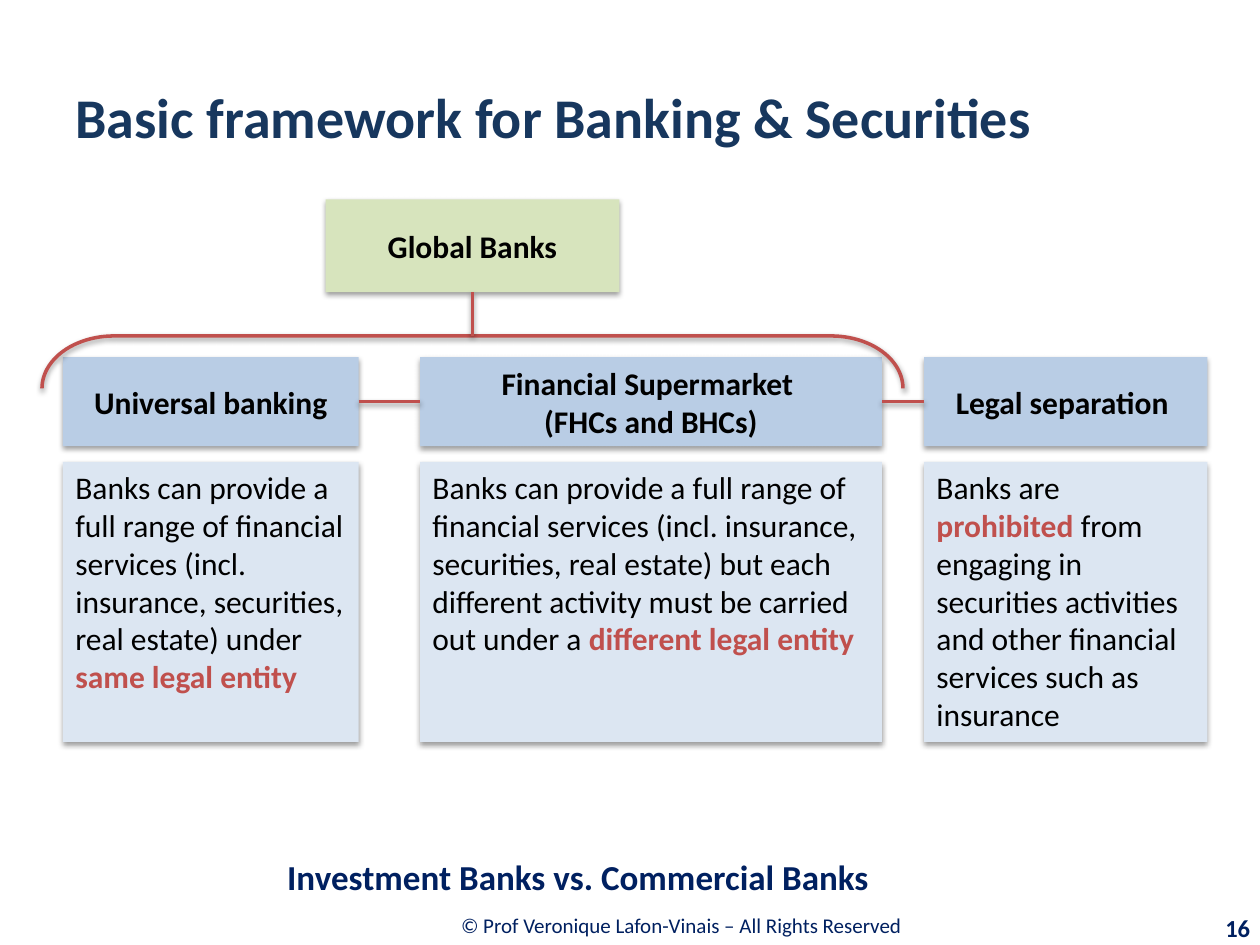
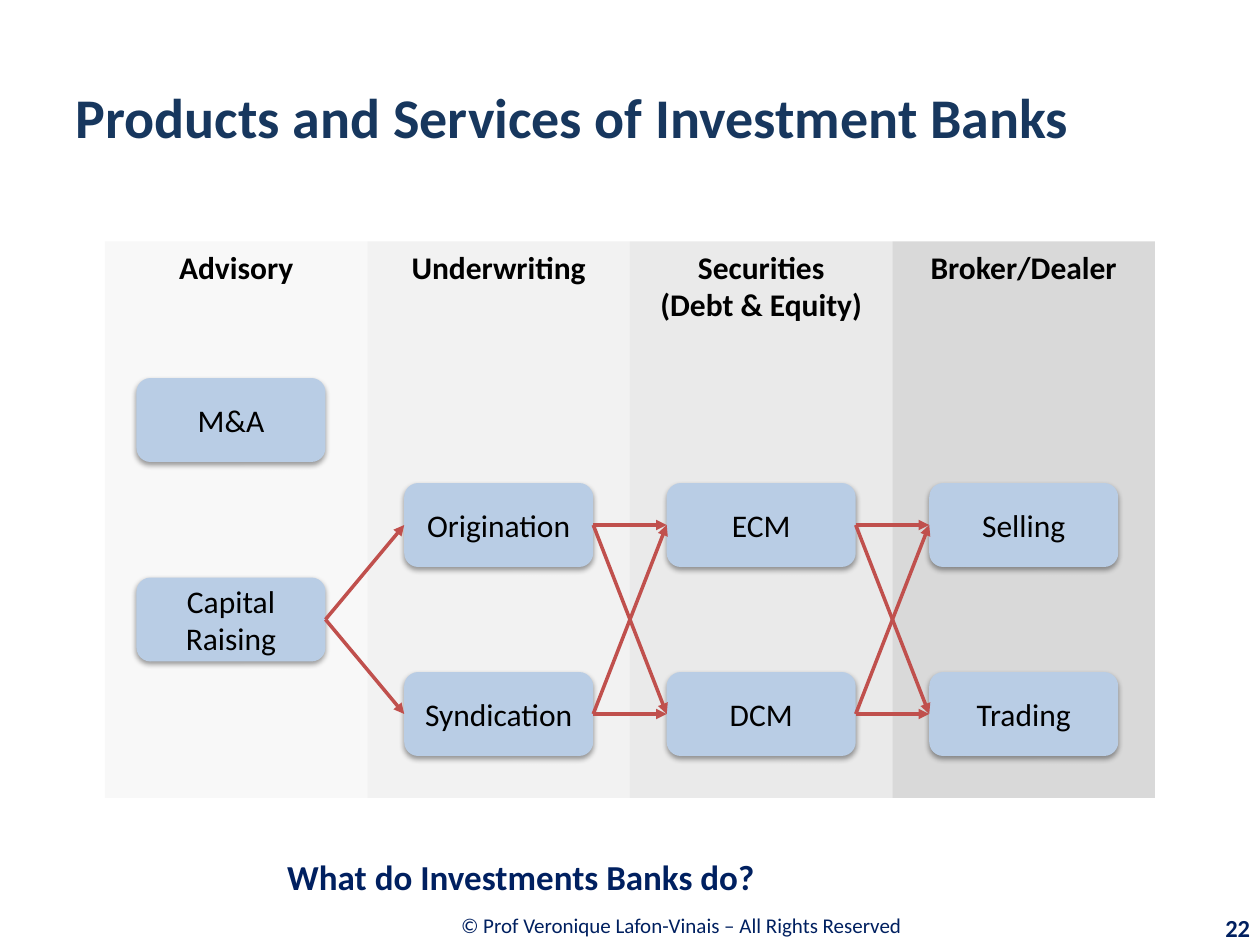
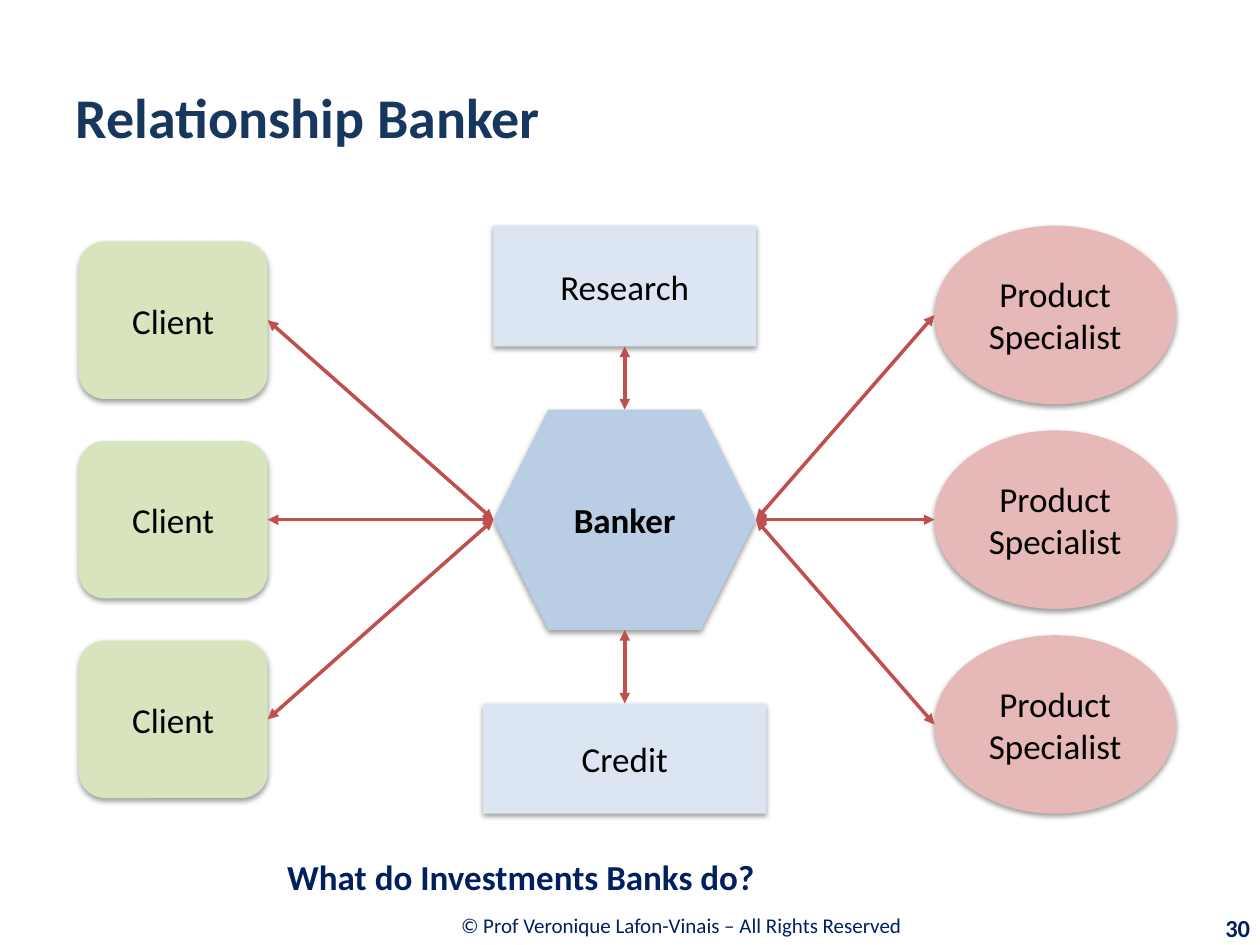
from dataclasses import dataclass
from itertools import product

from lxml import etree
from pptx import Presentation
from pptx.dml.color import RGBColor
from pptx.enum import shapes, text
from pptx.oxml.ns import qn
from pptx.util import Pt

SHAPE = shapes.MSO_SHAPE
ALIGN = text.PP_ALIGN
ANCHOR = text.MSO_ANCHOR
TOP, LEFT, BOTTOM, RIGHT = range(4)
SIDE_POS = {TOP: (0.5, 0), LEFT: (0, 0.5), BOTTOM: (0.5, 1), RIGHT: (1, 0.5)}
RECTANGLES = (SHAPE.RECTANGLE, SHAPE.ROUNDED_RECTANGLE)


@dataclass(frozen=True)
class Theme:
    font: str = "Calibri"
    title: str = "17375E"
    navy: str = "002060"
    ink: str = "000000"
    accent: str = "C0504D"
    blue: str = "B9CDE5"
    pale_blue: str = "DCE6F2"
    green: str = "D7E4BD"
    pink: str = "E6B9B8"
    lanes: tuple = ("F8F8F8", "F2F2F2", "EAEAEA", "D9D9D9")
    title_size: int = 32
    large: int = 20
    body: int = 18
    number: int = 14
    footer: int = 12
    line: int = 2


def set_all(obj, values):
    for name, value in values.items():
        setattr(obj, name, value)


class Deck:
    def __init__(self, theme):
        self.t = theme
        self.prs = Presentation()
        set_all(self.prs, {"slide_width": Pt(720), "slide_height": Pt(540)})
        self.s = None

    def slide(self, title, section, number):
        """Start a slide with its title, section line, footer and number."""
        t = self.t
        self.s = self.prs.slides.add_slide(self.prs.slide_layouts[5])
        sp = self.s.shapes.title
        set_all(sp, {"left": Pt(36), "top": Pt(21.6), "width": Pt(648), "height": Pt(90)})
        self.fill_text(sp, title, t.title_size, t.title, bold=True, align=ALIGN.LEFT)
        self.label((157.5, 514.8, 466.5, 28), "© Prof Veronique Lafon-Vinais – All Rights Reserved ",
                   t.footer, align=ALIGN.CENTER)
        self.label((649, 518.4, 72.5, 23), str(number), t.number, bold=True, align=ALIGN.RIGHT)
        self.label((157, 484, 563, 34), section, t.large, bold=True, align=ALIGN.LEFT)

    def fill_text(self, sp, content, size, color, bold=False, align=ALIGN.CENTER,
                  anchor=ANCHOR.MIDDLE, wrap=True):
        """Fill a shape with text; words between asterisks are accented."""
        tf = sp.text_frame
        set_all(tf, {"word_wrap": wrap, "auto_size": text.MSO_AUTO_SIZE.NONE,
                     "vertical_anchor": anchor})
        for i, line in enumerate(content.split("\n")):
            p = tf.add_paragraph() if i else tf.paragraphs[0]
            p.alignment = align
            for j, part in enumerate(line.split("*")):
                if not part:
                    continue
                accented = j % 2 == 1
                r = p.add_run()
                r.text = part
                set_all(r.font, {"name": self.t.font, "size": Pt(size), "bold": bold or accented})
                r.font.color.rgb = RGBColor.from_string(self.t.accent if accented else color)

    def label(self, box, content, size, **fmt):
        sp = self.s.shapes.add_textbox(*map(Pt, box))
        self.fill_text(sp, content, size, self.t.navy, **fmt)

    def shape(self, kind, box, fill=None, shadow=True):
        sp = self.s.shapes.add_shape(kind, *map(Pt, box))
        if fill:
            sp.fill.solid()
            sp.fill.fore_color.rgb = RGBColor.from_string(fill)
            sp.line.fill.background()
        else:
            sp.fill.background()
            self.stroke(sp)
        sp.shadow.inherit = False
        if shadow:
            self.cast_shadow(sp._element.spPr.find(qn("a:effectLst")))
        return sp

    def box(self, kind, box, fill, content, size=None, shadow=True, **fmt):
        sp = self.shape(kind, box, fill, shadow)
        self.fill_text(sp, content, size or self.t.body, self.t.ink, **fmt)
        return sp

    def stroke(self, sp):
        sp.line.color.rgb = RGBColor.from_string(self.t.accent)
        sp.line.width = Pt(self.t.line)

    def cast_shadow(self, effects):
        outer = etree.SubElement(effects, qn("a:outerShdw"), blurRad=str(Pt(3.15)),
                                 dist=str(Pt(1.57)), dir="5400000", rotWithShape="0")
        color = etree.SubElement(outer, qn("a:srgbClr"), val=self.t.ink)
        etree.SubElement(color, qn("a:alpha"), val="38000")

    def line(self, start, end, arrows=(), shadow=False):
        """Draw a straight line; arrows lists the ends, "headEnd" before "tailEnd"."""
        c = self.s.shapes.add_connector(shapes.MSO_CONNECTOR.STRAIGHT, *start, *end)
        self.stroke(c)
        spPr = c._element.spPr
        for name in arrows:
            etree.SubElement(spPr.find(qn("a:ln")), qn("a:" + name), type="triangle")
        effects = etree.SubElement(spPr, qn("a:effectLst"))
        if shadow:
            self.cast_shadow(effects)
        return c

    def link(self, a, a_side, b, b_side, **fmt):
        """Draw a line between two shapes, joined wherever a shape is a rectangle."""
        ends = [(sp.left + int(sp.width * SIDE_POS[side][0]),
                 sp.top + int(sp.height * SIDE_POS[side][1]))
                for sp, side in ((a, a_side), (b, b_side))]
        c = self.line(*ends, **fmt)
        if a.auto_shape_type in RECTANGLES:
            c.begin_connect(a, a_side)
        if b.auto_shape_type in RECTANGLES:
            c.end_connect(b, b_side)


def framework_slide(d):
    t = d.t
    d.slide("Basic framework for Banking & Securities", "Investment Banks vs. Commercial Banks", 16)
    models = [
        (36, 169, "Universal banking",
         "Banks can provide a full range of financial services (incl. insurance, "
         "securities, real estate) under *same legal entity*"),
        (240, 264, "Financial Supermarket \n(FHCs and BHCs)",
         "Banks can provide a full range of financial services (incl. insurance, "
         "securities, real estate) but each different activity must be carried out "
         "under a *different legal entity*"),
        (528, 162, "Legal separation ",
         "Banks are *prohibited *from engaging in securities activities and other "
         "financial services such as insurance"),
    ]
    heads = []
    for x, width, head, body in models:
        heads.append(d.box(SHAPE.RECTANGLE, (x, 204, width, 51), t.blue, head, bold=True))
        d.box(SHAPE.RECTANGLE, (x, 264, width, 160), t.pale_blue, body,
              align=ALIGN.LEFT, anchor=ANCHOR.TOP)
    for a, b in zip(heads, heads[1:]):
        d.link(a, RIGHT, b, LEFT, shadow=True)

    banks = d.box(SHAPE.RECTANGLE, (186, 114, 168, 53), t.green, "Global Banks", bold=True)
    bracket = d.shape(SHAPE.LEFT_BRACKET, (255, -39, 30, 492))
    bracket.rotation = 90
    bracket.adjustments[0] = 1.37
    stem = d.line((Pt(270), Pt(167)), (Pt(270), Pt(192)), shadow=True)
    stem.begin_connect(banks, BOTTOM)


def products_slide(d):
    t = d.t
    d.slide("Products and Services of Investment Banks", "What do Investments Banks do?", 22)
    lanes = ("Advisory", "Underwriting", "Securities\n(Debt & Equity)", "Broker/Dealer")
    for i, (name, fill) in enumerate(zip(lanes, t.lanes)):
        d.box(SHAPE.RECTANGLE, (60 + 150 * i, 138, 150, 318), fill, name,
              shadow=False, bold=True, anchor=ANCHOR.TOP)

    def step(x, y, name):
        return d.box(SHAPE.ROUNDED_RECTANGLE, (x, y, 108, 48), t.blue, name)

    step(78, 216, "M&A")
    stages = [[step(78, 330, "Capital Raising")]]
    pairs = (("Origination", "Syndication"), ("ECM", "DCM"), ("Selling", "Trading"))
    for i, names in enumerate(pairs):
        stages.append([step(231 + 150 * i, y, name) for y, name in zip((276, 384), names)])
    for before, after in zip(stages, stages[1:]):
        for a, b in product(before, after):
            d.link(a, RIGHT, b, LEFT, arrows=["tailEnd"])


def banker_slide(d):
    t = d.t
    d.slide("Relationship Banker", "What do Investments Banks do?", 30)
    both = ["headEnd", "tailEnd"]

    def party(kind, box, fill, name, bold=False):
        return d.box(kind, box, fill, name, t.large, bold=bold, wrap=False)

    banker = party(SHAPE.HEXAGON, (282, 234, 150, 126), t.blue, "Banker", bold=True)
    research = party(SHAPE.RECTANGLE, (282, 129, 150, 69), t.pale_blue, "Research")
    credit = party(SHAPE.RECTANGLE, (276, 402, 162, 63), t.pale_blue, "Credit")
    d.link(research, BOTTOM, banker, TOP, arrows=both)
    d.link(banker, BOTTOM, credit, TOP, arrows=both)
    for i in range(3):
        client = party(SHAPE.ROUNDED_RECTANGLE, (45, 138 + 114 * i, 108, 90), t.green, "Client")
        specialist = party(SHAPE.OVAL, (534, 129 + 117 * i, 138, 102), t.pink,
                           "Product\nSpecialist")
        d.link(client, RIGHT, banker, LEFT, arrows=both)
        d.link(banker, RIGHT, specialist, LEFT, arrows=both)


def main():
    d = Deck(Theme())
    framework_slide(d)
    products_slide(d)
    banker_slide(d)
    d.prs.save("out.pptx")


if __name__ == "__main__":
    main()
